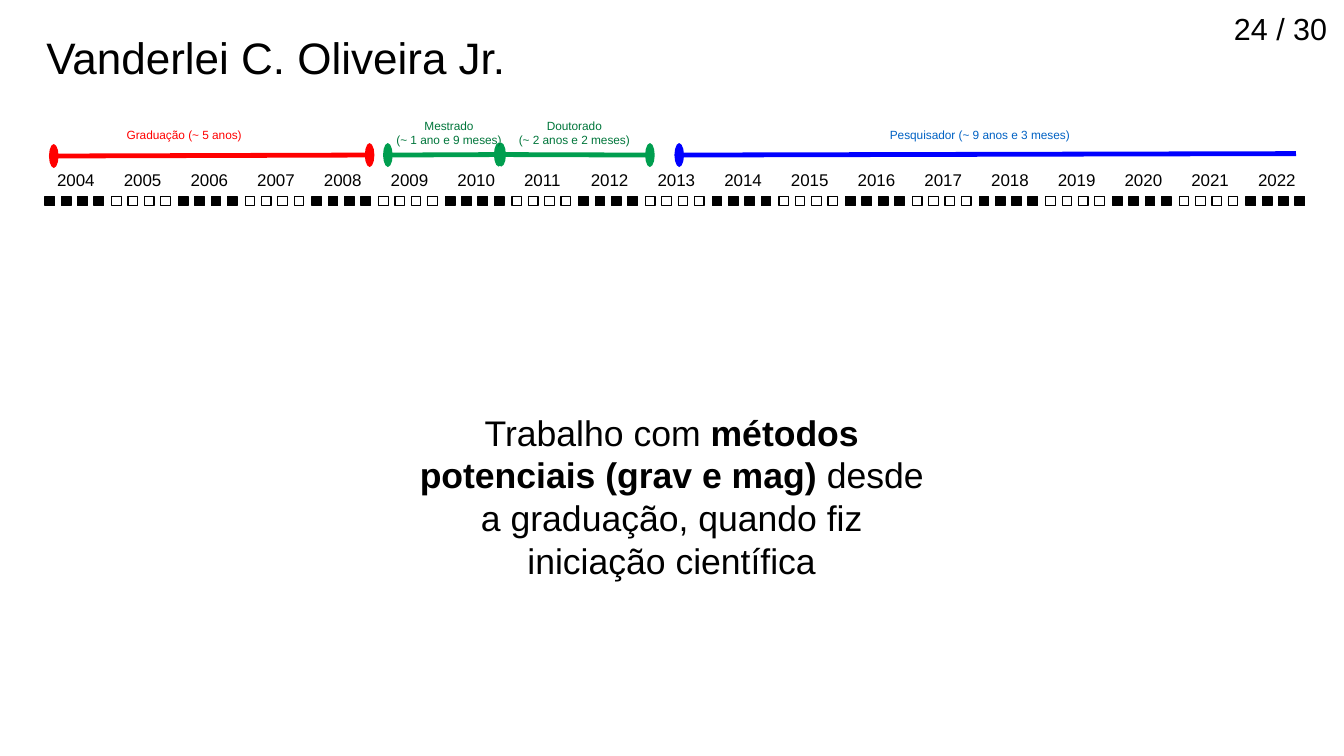
from lxml.etree import SubElement
from pptx import Presentation
from pptx.dml.color import RGBColor
from pptx.enum.shapes import MSO_CONNECTOR as Conn, MSO_SHAPE as Shape
from pptx.enum.text import MSO_ANCHOR as Anchor, MSO_AUTO_SIZE as AutoSize, PP_ALIGN as Align
from pptx.oxml.ns import qn
from pptx.util import Cm, Pt

FONT = "Arial"
BLACK, WHITE, RED, GREEN, BLUE = "000000", "FFFFFF", "FF0000", "009E4F", "0000FF"
DARK_GREEN, LABEL_BLUE = "00763B", "0062C4"

FIRST_YEAR, LAST_YEAR = 2004, 2022
LEFT, YEAR_STEP = 0.94, 1.39
QUARTERS, QUARTER_STEP, SQUARE = 4, 0.34, 0.2
YEARS_TOP, SQUARES_TOP = 3.4, 4.09

# start, end, colour, ends that carry an oval
PERIODS = [
    ((1.12, 3.25), (7.7, 3.23), RED, ("headEnd", "tailEnd")),
    ((8.08, 3.23), (10.44, 3.22), GREEN, ("headEnd", "tailEnd")),
    ((10.39, 3.22), (13.54, 3.23), GREEN, ("headEnd", "tailEnd")),
    ((14.15, 3.23), (27, 3.2), BLUE, ("headEnd",)),
]
# text, box, colour, alignment
PERIOD_LABELS = [
    ("Graduação (~ 5 anos)", (2.39, 2.54, 3.1, 0.64), RED, Align.LEFT),
    ("Mestrado\n(~ 1 ano e 9 meses)", (7.92, 2.34, 2.87, 0.8), DARK_GREEN, Align.CENTER),
    ("Doutorado\n(~ 2 anos e 2 meses)", (10.49, 2.34, 2.95, 0.9), DARK_GREEN, Align.CENTER),
    ("Pesquisador (~ 9 anos e 3 meses)", (18.29, 2.54, 4.6, 0.64), LABEL_BLUE, Align.LEFT),
]


def rgb(color):
    return RGBColor.from_string(color)


def format_text(tf, size, color=BLACK, align=Align.LEFT, anchor=Anchor.TOP):
    tf.word_wrap = True
    tf.auto_size = AutoSize.NONE
    tf.vertical_anchor = anchor
    for p in tf.paragraphs:
        p.alignment = align
        for r in p.runs:
            r.font.name = FONT
            r.font.size = Pt(size)
            r.font.color.rgb = rgb(color)


def add_text(s, text, box, size, **style):
    tf = s.shapes.add_textbox(*map(Cm, box)).text_frame
    tf.text = text
    format_text(tf, size, **style)


def add_title(s, text):
    title = s.shapes.title
    title.left, title.top, title.width, title.height = map(Cm, (0.71, 0.51, 11.7, 2))
    title.text_frame.text = text
    format_text(title.text_frame, 26)


def add_statement(s, parts, box):
    """Centred paragraph made of (text, bold) parts."""
    tf = s.shapes.add_textbox(*map(Cm, box)).text_frame
    for text, bold in parts:
        r = tf.paragraphs[0].add_run()
        r.text = text
        r.font.bold = bold
    format_text(tf, 21, align=Align.CENTER)


def add_square(s, x, y, fill):
    sp = s.shapes.add_shape(Shape.RECTANGLE, Cm(x), Cm(y), Cm(SQUARE), Cm(SQUARE))
    sp.shadow.inherit = False
    sp.fill.solid()
    sp.fill.fore_color.rgb = rgb(fill)
    sp.line.color.rgb = rgb(BLACK)
    sp.line.width = Pt(0)


def add_years(s):
    for i, year in enumerate(range(FIRST_YEAR, LAST_YEAR + 1)):
        x = LEFT + i * YEAR_STEP
        add_text(s, str(year), (x, YEARS_TOP, YEAR_STEP, 0.64), 10)
        for quarter in range(QUARTERS):
            add_square(s, x + quarter * QUARTER_STEP, SQUARES_TOP, WHITE if i % 2 else BLACK)


def add_period(s, start, end, color, oval_ends):
    line = s.shapes.add_connector(Conn.STRAIGHT, *map(Cm, start + end))
    line.line.color.rgb = rgb(color)
    line.line.width = Pt(2.83)
    sp_pr = line._element.spPr
    for tag in oval_ends:
        SubElement(sp_pr.find(qn("a:ln")), qn(f"a:{tag}"), type="oval", w="lg", len="sm")
    SubElement(sp_pr, qn("a:effectLst"))


def main():
    prs = Presentation()
    prs.slide_width, prs.slide_height = Cm(28), Cm(15.75)
    s = prs.slides.add_slide(prs.slide_layouts[5])

    add_title(s, "Vanderlei C. Oliveira Jr.")
    add_text(s, "24 / 30", (24, 0, 3.9, 1.2), 18, align=Align.RIGHT, anchor=Anchor.MIDDLE)
    add_years(s)
    for period in PERIODS:
        add_period(s, *period)
    for text, box, color, align in PERIOD_LABELS:
        add_text(s, text, box, 7, color=color, align=align)
    add_statement(s, [
        ("Trabalho com ", False),
        ("métodos potenciais (grav e mag)", True),
        (" desde a graduação, quando fiz iniciação científica", False),
    ], (8.43, 8.43, 11.13, 3.9))

    prs.save("out.pptx")


if __name__ == "__main__":
    main()
